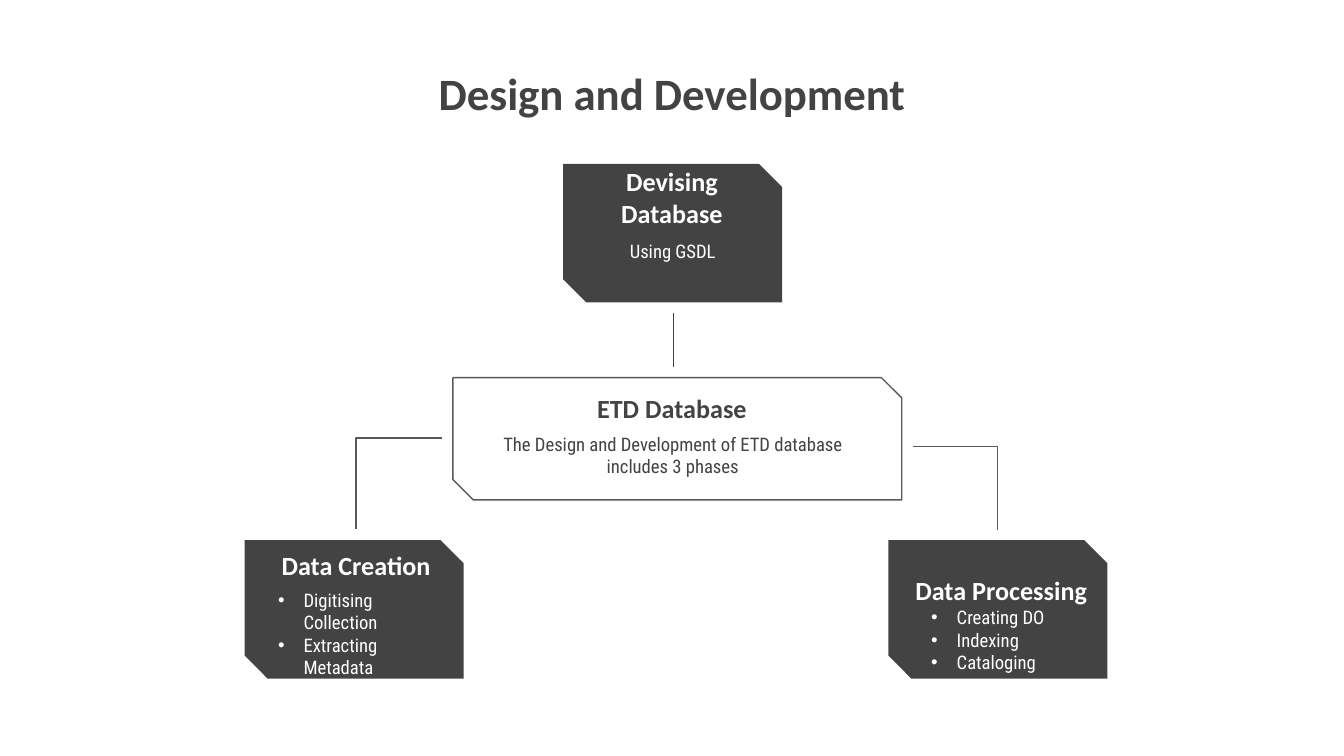
from dataclasses import dataclass

from lxml.etree import SubElement
from pptx import Presentation
from pptx.dml.color import RGBColor
from pptx.enum.shapes import MSO_CONNECTOR as Link, MSO_SHAPE as Preset
from pptx.enum.text import MSO_ANCHOR as Anchor, PP_ALIGN as Align
from pptx.oxml.ns import qn
from pptx.slide import Slide
from pptx.util import Inches, Pt

CELL = 0.1
COLUMNS, ROWS = 100, 56.25


@dataclass(frozen=True)
class Theme:
    dark: str = "434343"
    edge: str = "595959"
    white: str = "FFFFFF"
    heading_font: str = "Calibri"
    body_font: str = "Roboto Condensed"
    title_size: int = 24
    heading_size: int = 14
    body_size: int = 10
    line_width: float = 0.75
    snip: float = 0.167
    indent: float = 1.9


@dataclass(frozen=True)
class Area:
    column: float
    row: float
    columns: float
    rows: float


@dataclass(frozen=True)
class Card:
    frame: Area
    heading: str
    heading_area: Area
    body: tuple[str, ...]
    body_area: Area
    filled: bool = True
    bulleted: bool = False


@dataclass(frozen=True)
class Branch:
    start: tuple[float, float]
    end: tuple[float, float]
    color: str
    bent: bool = True


THEME = Theme()
CARD_COLUMNS, CARD_ROWS = 16.3, 10.3
HEADING_COLUMNS, HEADING_ROWS = 15.6, 4.3
LOWER_ROW = 40.2

CARDS = (
    Card(Area(18.2, LOWER_ROW, CARD_COLUMNS, CARD_ROWS),
         "Data Creation", Area(18.7, 39.9, HEADING_COLUMNS, HEADING_ROWS),
         ("Digitising Collection", "Extracting Metadata"),
         Area(19.7, 42.8, 13.9, 6.8), bulleted=True),
    Card(Area(66.1, LOWER_ROW, CARD_COLUMNS, CARD_ROWS),
         "Data Processing", Area(66.7, 41.8, HEADING_COLUMNS, HEADING_ROWS),
         ("Creating DO", "Indexing", "Cataloging"),
         Area(68.3, 44.1, 14.1, 6.8), bulleted=True),
    Card(Area(33.7, 28.1, 33.4, 9.1),
         "ETD Database", Area(42.2, 28.2, HEADING_COLUMNS, HEADING_ROWS),
         ("The Design and Development of ETD database includes 3 phases",),
         Area(34.9, 31.2, 30.3, 9), filled=False),
    Card(Area(41.9, 12.2, CARD_COLUMNS, CARD_ROWS),
         "Devising Database", Area(42.2, 13.7, HEADING_COLUMNS, HEADING_ROWS),
         ("Using GSDL",), Area(43, 17, 14.1, 6.8)),
)

BRANCHES = (
    Branch((50.1, 23.3), (50.1, 27.3), THEME.dark, bent=False),
    Branch((32.9, 32.6), (26.5, 39.4), THEME.edge),
    Branch((67.9, 33.2), (74.2, 39.4), THEME.edge),
)


def cells(*counts: float) -> list[Inches]:
    return [Inches(count * CELL) for count in counts]


def place(area: Area) -> list[Inches]:
    return cells(area.column, area.row, area.columns, area.rows)


def add_bullet(para, color: str) -> None:
    properties = para._p.get_or_add_pPr()
    indent = cells(THEME.indent)[0]
    properties.set("marL", str(indent))
    properties.set("indent", str(-indent))
    bullet_color = SubElement(properties, qn("a:buClr"))
    SubElement(bullet_color, qn("a:srgbClr")).set("val", color)
    SubElement(properties, qn("a:buFont")).set("typeface", "Arial")
    SubElement(properties, qn("a:buChar")).set("char", "•")


def add_text(page: Slide, area: Area, lines: tuple[str, ...], font: str, size: int,
             color: str, bold: bool = False, anchor: Anchor = Anchor.TOP,
             bulleted: bool = False) -> None:
    frame = page.shapes.add_textbox(*place(area)).text_frame
    frame.word_wrap = True
    frame.vertical_anchor = anchor
    frame.margin_left = frame.margin_right = Inches(CELL)
    frame.margin_top = frame.margin_bottom = Inches(CELL)
    frame.text = "\n".join(lines)
    for para in frame.paragraphs:
        para.alignment = Align.LEFT if bulleted else Align.CENTER
        if bulleted:
            add_bullet(para, color)
        for span in para.runs:
            span.font.name = font
            span.font.size = Pt(size)
            span.font.bold = bold
            span.font.color.rgb = RGBColor.from_string(color)


def add_card(page: Slide, card: Card) -> None:
    box = page.shapes.add_shape(Preset.SNIP_2_DIAG_RECTANGLE, *place(card.frame))
    box.shadow.inherit = False
    box.adjustments[0] = 0
    box.adjustments[1] = THEME.snip
    if card.filled:
        box.fill.solid()
        box.fill.fore_color.rgb = RGBColor.from_string(THEME.dark)
        box.line.fill.background()
    else:
        box.fill.background()
        box.line.color.rgb = RGBColor.from_string(THEME.edge)
        box.line.width = Pt(THEME.line_width)
    color = THEME.white if card.filled else THEME.dark
    add_text(page, card.heading_area, (card.heading,), THEME.heading_font,
             THEME.heading_size, color, bold=True, anchor=Anchor.BOTTOM)
    add_text(page, card.body_area, card.body, THEME.body_font,
             THEME.body_size, color, bulleted=card.bulleted)


def add_branch(page: Slide, branch: Branch) -> None:
    kind = Link.ELBOW if branch.bent else Link.STRAIGHT
    line = page.shapes.add_connector(kind, *cells(*branch.start, *branch.end))
    line.line.color.rgb = RGBColor.from_string(branch.color)
    line.line.width = Pt(THEME.line_width)
    properties = line._element.spPr
    SubElement(properties, qn("a:effectLst"))
    if branch.bent:
        guides = properties.find(qn("a:prstGeom")).get_or_add_avLst()
        guide = SubElement(guides, qn("a:gd"))
        guide.set("name", "adj1")
        guide.set("fmla", "val 100000")


def main() -> None:
    deck = Presentation()
    deck.slide_width, deck.slide_height = cells(COLUMNS, ROWS)
    page = deck.slides.add_slide(deck.slide_layouts[6])
    add_text(page, Area(21.5, 3.9, 57, 10.3), ("Design and Development",),
             THEME.heading_font, THEME.title_size, THEME.dark, bold=True)
    for card in CARDS:
        add_card(page, card)
    for branch in BRANCHES:
        add_branch(page, branch)
    deck.save("out.pptx")


if __name__ == "__main__":
    main()
